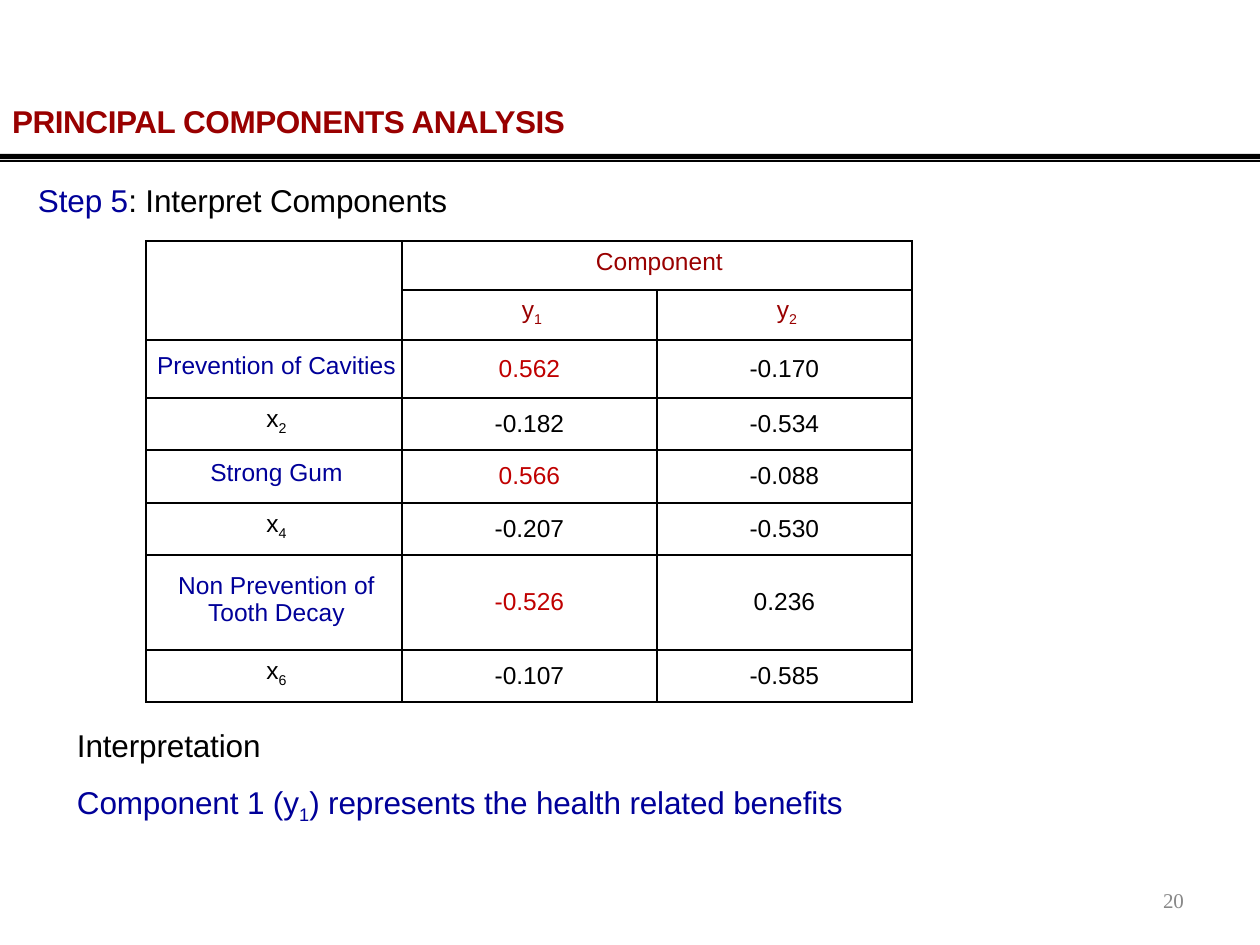
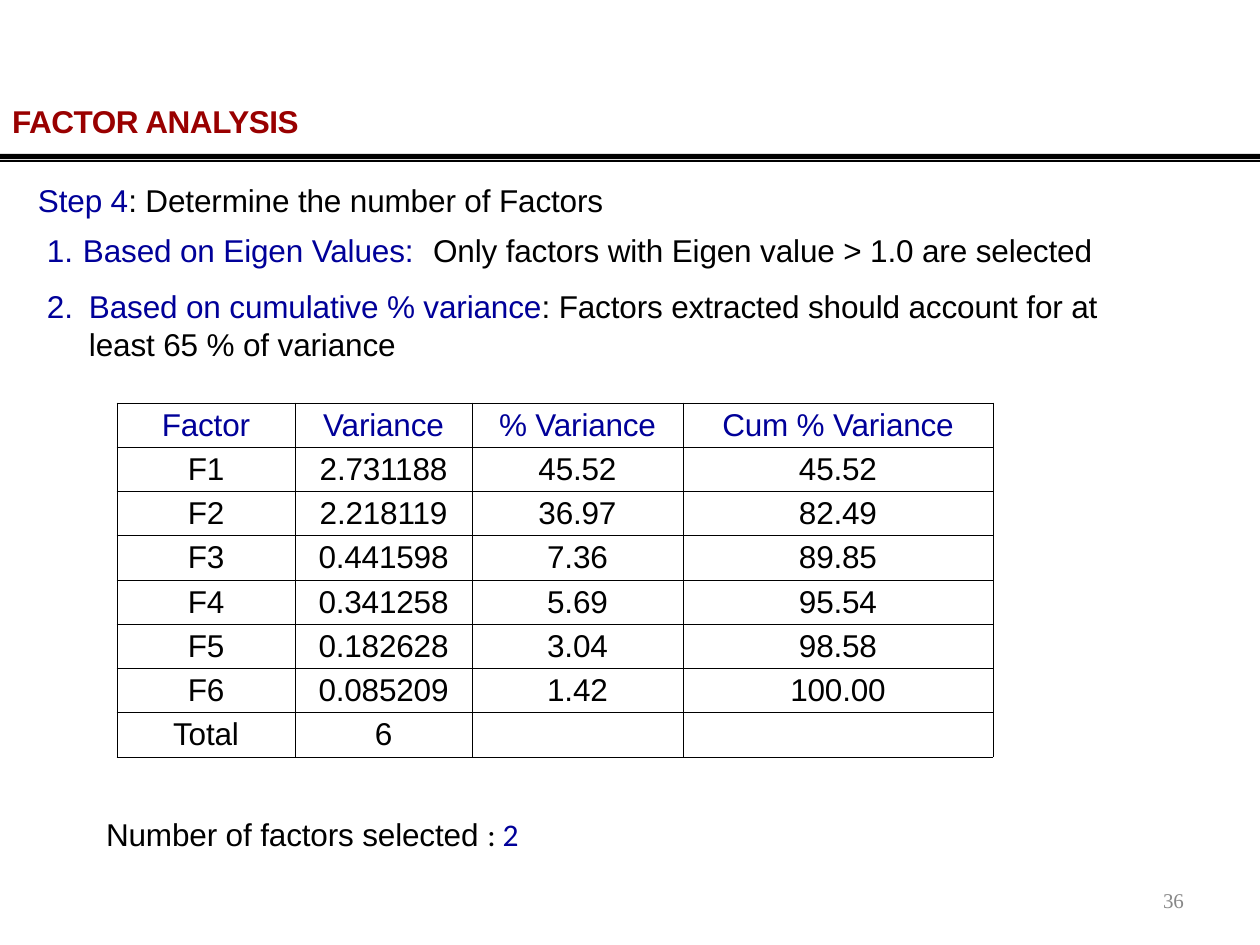
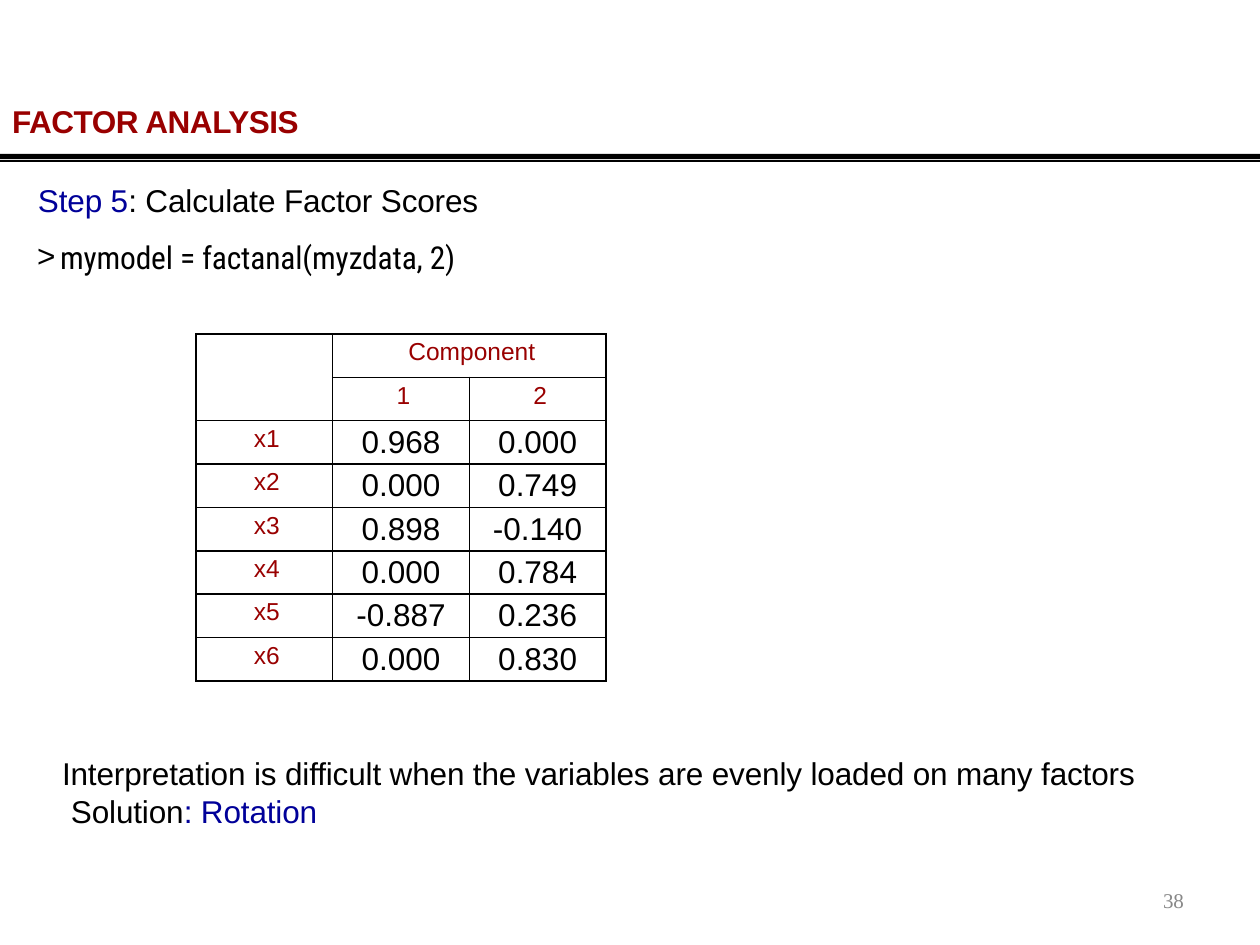
from lxml.etree import SubElement as Sub
from pptx import Presentation
from pptx.dml.color import RGBColor as RGB
from pptx.enum.text import MSO_ANCHOR as Anchor, MSO_AUTO_SIZE as Fit, PP_ALIGN as Align
from pptx.oxml.ns import qn
from pptx.util import Emu, Pt

BLACK = RGB(0x00, 0x00, 0x00)
MAROON = RGB(0x99, 0x00, 0x00)
RED = RGB(0xC0, 0x00, 0x00)
NAVY = RGB(0x00, 0x00, 0x99)
GREY = RGB(0x88, 0x88, 0x88)
SCALE = 914400 / 126
WIDE, HIGH = 1260, 945
FONT = "Arial"


def px(num):
    return Emu(round(num * SCALE))


class Deck:
    def __init__(self):
        self.show = Presentation()
        self.show.slide_width, self.show.slide_height = px(WIDE), px(HIGH)
        self.slide = None

    def page(self, title, num):
        self.slide = self.show.slides.add_slide(self.show.slide_layouts[1])
        self.band()
        frame = self.frame(self.slide.shapes.title, (12, 102, 1200, 40))
        self.put(frame.paragraphs[0], [title], MAROON, track=-25)
        for run in frame.paragraphs[0].runs:
            run.font.bold = True
        self.text((1163, 888, 34, 28), [[str(num)]], GREY, 12, "Times New Roman")

    def band(self):
        pen = self.slide.shapes.build_freeform(0, 154, SCALE)
        pen.add_line_segments([(WIDE, 154), (WIDE, 159), (0, 159)])
        pen.move_to(0, 160)
        pen.add_line_segments([(WIDE, 160), (WIDE, 162), (0, 162)])
        shape = pen.convert_to_shape()
        shape.shadow.inherit = False
        shape.fill.solid()
        shape.fill.fore_color.rgb = BLACK
        shape.line.fill.background()

    def frame(self, shape, box):
        shape.left, shape.top, shape.width, shape.height = map(px, box)
        frame = shape.text_frame
        frame.word_wrap = True
        frame.auto_size = Fit.NONE
        frame.vertical_anchor = Anchor.TOP
        frame.margin_left = frame.margin_right = 0
        frame.margin_top = frame.margin_bottom = 0
        return frame

    def put(self, par, parts, color=BLACK, size=18, font=FONT, align=Align.LEFT, track=0):
        par.alignment = align
        for spot, part in enumerate(parts):
            words, tint, face = (part, color, font) if isinstance(part, str) else (*part, font)[:3]
            low = words.startswith("_")
            if spot:
                par.add_run().text = words.lstrip("_")
            else:
                par.text = words
            run = par.runs[-1]
            run.font.size, run.font.name = Pt(size), face
            run.font.color.rgb = tint
            props = run.font._element
            props.set("spc", str(track))
            if low:
                props.set("baseline", "-22000")

    def indent(self, par, left, hang=0):
        props = par._p.get_or_add_pPr()
        props.set("marL", str(px(left)))
        props.set("indent", str(px(hang)))
        return props

    def text(self, box, lines, color=BLACK, size=18, font=FONT, gap=0, step=0):
        frame = self.frame(self.slide.shapes.add_textbox(0, 0, 0, 0), box)
        for spot, parts in enumerate(lines):
            par = frame.add_paragraph() if spot else frame.paragraphs[0]
            if spot:
                par.space_before = Pt(gap)
                self.indent(par, step)
            self.put(par, parts, color, size, font, track=-8)

    def body(self, step, name, items=(), high=40):
        frame = self.frame(self.slide.placeholders[1], (11, 181, 1148, high))
        head = [("Step " + step, NAVY), ": " + name]
        lines = [(head, 27, 0, 0, "", 0), *items]
        for spot, (parts, left, hang, gap, mark, stop) in enumerate(lines):
            par = frame.add_paragraph() if spot else frame.paragraphs[0]
            par.space_before = Pt(gap)
            props = self.indent(par, left, hang)
            if mark == "1.":
                Sub(props, qn("a:buFont"), typeface=FONT)
                Sub(props, qn("a:buAutoNum"), type="arabicPeriod")
            elif mark:
                Sub(props, qn("a:buFont"), typeface=FONT)
                Sub(props, qn("a:buChar"), char=mark)
            else:
                Sub(props, qn("a:buNone"))
            if stop:
                tabs = Sub(props, qn("a:tabLst"))
                Sub(tabs, qn("a:tab"), pos=str(px(stop)), algn="l")
            self.put(par, parts, track=-8)

    def grid(self, left, top, cols, rows, data, style, line=1, lift=0, track=0):
        box = map(px, (left, top, sum(cols), sum(rows)))
        table = self.slide.shapes.add_table(len(rows), len(cols), *box).table
        table.first_row = table.horz_banding = False
        for col, wide in zip(table.columns, cols):
            col.width = px(wide)
        for row, high in zip(table.rows, rows):
            row.height = px(high)
        for r, row in enumerate(data):
            for c, parts in enumerate(row):
                cell = table.cell(r, c)
                self.edge(cell, line)
                cell.margin_left = cell.margin_right = 0
                cell.margin_top = cell.margin_bottom = 0
                cell.vertical_anchor = Anchor.MIDDLE
                if not parts:
                    continue
                color, size, label = style(r, c)
                par = cell.text_frame.paragraphs[0]
                if label:
                    cell.margin_bottom = px(lift)
                    self.indent(par, 5)
                if isinstance(parts, str):
                    parts = [parts]
                self.put(par, parts, color, size, align=Align.CENTER, track=track)
        return table

    def edge(self, cell, line):
        props = cell._tc.get_or_add_tcPr()
        for side in "LRTB":
            rule = Sub(props, qn("a:ln" + side), w=str(Pt(line)))
            fill = Sub(rule, qn("a:solidFill"))
            Sub(fill, qn("a:srgbClr"), val=str(BLACK))
        cell.fill.background()

    def pair(self, table):
        table.cell(0, 0).merge(table.cell(1, 0))
        table.cell(0, 1).merge(table.cell(0, 2))


def load_style(r, c):
    if r < 2:
        return MAROON, 14, True
    if c == 0:
        return (BLACK if r % 2 else NAVY), 14, True
    return (RED if c == 1 and r % 2 == 0 else BLACK), 14, False


def rank_style(r, c):
    return (BLACK if r else NAVY), 18, False


def score_style(r, c):
    label = r < 2 or c == 0
    return (MAROON, 14, True) if label else (BLACK, 18, False)


def loads(deck):
    deck.page("PRINCIPAL COMPONENTS ANALYSIS", 20)
    deck.body("5", "Interpret Components")
    data = [
        ["", "Component", ""],
        ["", ["y", "_1"], ["y", "_2"]],
        ["Prevention of Cavities", "0.562", "-0.170"],
        [["x", "_2"], "-0.182", "-0.534"],
        ["Strong Gum", "0.566", "-0.088"],
        [["x", "_4"], "-0.207", "-0.530"],
        ["Non Prevention of Tooth Decay", "-0.526", "0.236"],
        [["x", "_6"], "-0.107", "-0.585"],
    ]
    rows = [49, 50, 58, 52, 53, 52, 95, 52]
    deck.pair(deck.grid(146, 241, [256, 255, 255], rows, data, load_style, lift=6))
    note = ["Component 1 (y", "_1", ") represents the health related benefits"]
    blue = [(part, NAVY) for part in note]
    deck.text((77, 726, 780, 96), [["Interpretation"], blue], gap=10.8)


def ranks(deck):
    deck.page("FACTOR ANALYSIS", 36)
    eigen = [("Based on Eigen Values:\t", NAVY), "Only factors with Eigen value > 1.0 are selected"]
    share = [("Based on cumulative % variance", NAVY),
             ": Factors extracted should account for at least 65 % of variance"]
    deck.body("4", "Determine the number of Factors", [
        (eigen, 72, -36, 6.8, "1.", 422),
        (share, 78, -42, 10.8, "1.", 0),
    ], 184)
    data = [
        ["Factor", "Variance", "% Variance", "Cum % Variance"],
        ["F1", "2.731188", "45.52", "45.52"],
        ["F2", "2.218119", "36.97", "82.49"],
        ["F3", "0.441598", "7.36", "89.85"],
        ["F4", "0.341258", "5.69", "95.54"],
        ["F5", "0.182628", "3.04", "98.58"],
        ["F6", "0.085209", "1.42", "100.00"],
        ["Total", "6", "", ""],
    ]
    deck.grid(117, 403, [178, 177, 211, 310], [354 / 8] * 8, data, rank_style, 0.5, track=-10)
    deck.text((106, 815, 420, 40), [[
        "Number of factors selected ", (": ", BLACK, "Calibri"), ("2", NAVY, "Calibri")]])


def scores(deck):
    deck.page("FACTOR ANALYSIS", 38)
    code = [("mymodel = factanal(myzdata, 2)", BLACK, "Roboto Condensed")]
    deck.body("5", "Calculate Factor Scores", [(code, 49, -23, 10.8, ">", 49)], 96)
    data = [
        ["", "Component", ""],
        ["", "1", "2"],
        ["x1", "0.968", "0.000"],
        ["x2", "0.000", "0.749"],
        ["x3", "0.898", "-0.140"],
        ["x4", "0.000", "0.784"],
        ["x5", "-0.887", "0.236"],
        ["x6", "0.000", "0.830"],
    ]
    deck.pair(deck.grid(196, 334, [410 / 3] * 3, [347 / 8] * 8, data, score_style, lift=7))
    deck.text((62, 754, 1100, 78), [
        ["Interpretation is difficult when the variables are evenly loaded on many factors"],
        ["Solution", (": Rotation", NAVY)],
    ], step=9)


def main():
    deck = Deck()
    for draw in (loads, ranks, scores):
        draw(deck)
    deck.show.save("out.pptx")


if __name__ == "__main__":
    main()
